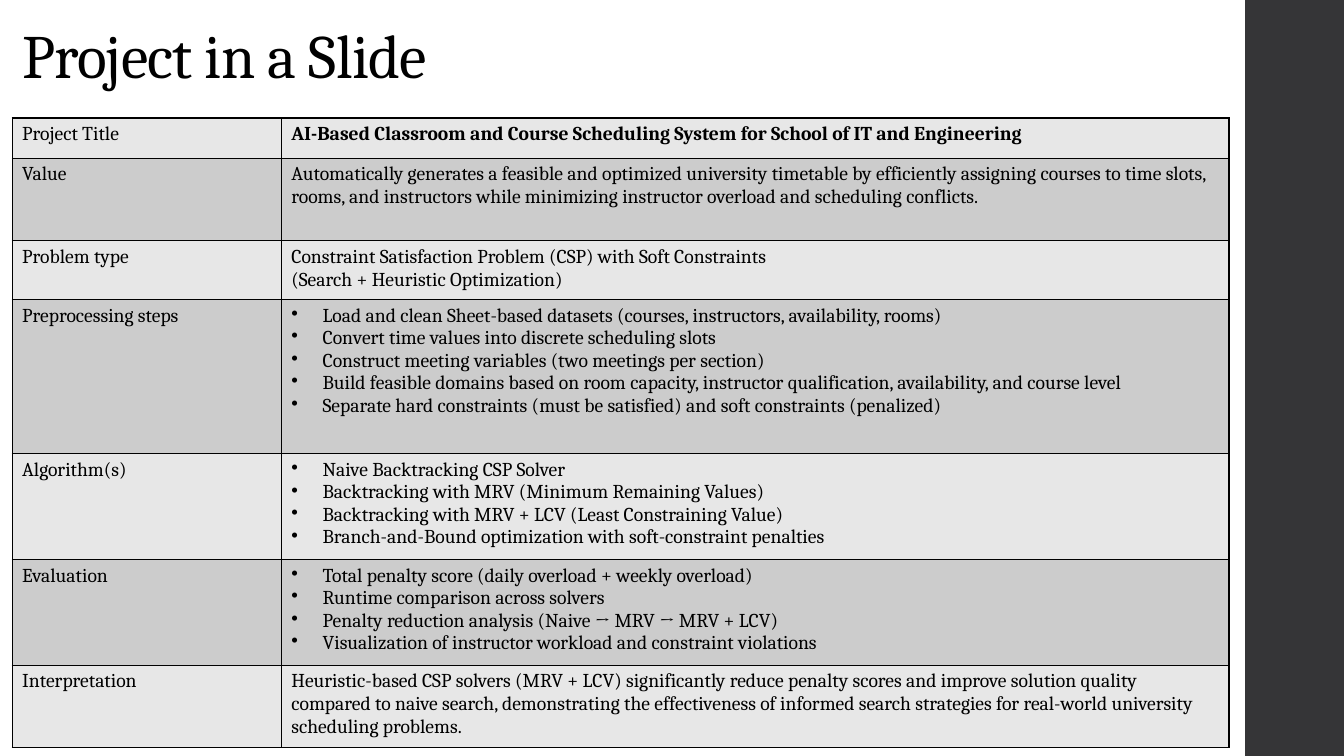
import pptx
import pptx.util
import pptx.oxml
import pptx.oxml.ns
import pptx.dml.color
import pptx.enum.shapes
import pptx.enum.text

inch = pptx.util.Inches
hues = {"bar": "353537", "light": "E7E7E7", "dark": "CCCCCC", "ink": "000000"}
cols = [2.67, 9.4]

# Label, row height, bulleted or not, lines of text
rows = [
    ("Project Title", 0.4, False,
     ["AI-Based Classroom and Course Scheduling System for School of IT and Engineering"]),
    ("Value", 0.82, False,
     ["Automatically generates a feasible and optimized university timetable by efficiently "
      "assigning courses to time slots, rooms, and instructors while minimizing instructor "
      "overload and scheduling conflicts."]),
    ("Problem type", 0.58, False,
     ["Constraint Satisfaction Problem (CSP) with Soft Constraints",
      "(Search + Heuristic Optimization)"]),
    ("Preprocessing steps", 1.53, True,
     ["Load and clean Sheet-based datasets (courses, instructors, availability, rooms)",
      "Convert time values into discrete scheduling slots",
      "Construct meeting variables (two meetings per section)",
      "Build feasible domains based on room capacity, instructor qualification, "
      "availability, and course level",
      "Separate hard constraints (must be satisfied) and soft constraints (penalized)"]),
    ("Algorithm(s)", 1.05, True,
     ["Naive Backtracking CSP Solver",
      "Backtracking with MRV (Minimum Remaining Values)",
      "Backtracking with MRV + LCV (Least Constraining Value)",
      "Branch-and-Bound optimization with soft-constraint penalties"]),
    ("Evaluation", 1.05, True,
     ["Total penalty score (daily overload + weekly overload)",
      "Runtime comparison across solvers",
      "Penalty reduction analysis (Naive → MRV → MRV + LCV)",
      "Visualization of instructor workload and constraint violations"]),
    ("Interpretation", 0.82, False,
     ["Heuristic-based CSP solvers (MRV + LCV) significantly reduce penalty scores and improve "
      "solution quality compared to naive search, demonstrating the effectiveness of informed "
      "search strategies for real-world university scheduling problems."]),
]


def style(font, size, bold=False):
    for key, val in {"name": "Cambria", "size": pptx.util.Pt(size), "bold": bold}.items():
        setattr(font, key, val)
    font.color.rgb = pptx.dml.color.RGBColor.from_string(hues["ink"])


def write(cell, lines, bullet, bold):
    frame = cell.text_frame
    frame.text = "\n".join(lines)
    for para in frame.paragraphs:
        if bullet:
            props = para._p.get_or_add_pPr()
            props.set("marL", str(inch(0.31)))
            props.set("indent", str(-inch(0.31)))
            mark = pptx.oxml.parse_xml(
                f'<a:buChar {pptx.oxml.ns.nsdecls("a")} char="•"/>')
            props.append(mark)
        style(para.runs[0].font, 14, bold)


# Slide
deck = pptx.Presentation()
deck.slide_width, deck.slide_height = inch(13.33), inch(7.5)
slide = deck.slides.add_slide(deck.slide_layouts[5])

# Side bar
bar = slide.shapes.add_shape(pptx.enum.shapes.MSO_SHAPE.RECTANGLE,
                             inch(12.35), 0, inch(1), deck.slide_height)
bar.shadow.inherit = False
bar.fill.solid()
bar.fill.fore_color.rgb = pptx.dml.color.RGBColor.from_string(hues["bar"])
bar.line.fill.background()

# Title
title = slide.shapes.title
place = {"left": 0.12, "top": -0.44, "width": 9.75, "height": 1.4}
for key, val in place.items():
    setattr(title, key, inch(val))
frame = title.text_frame
frame.text = "Project in a Slide"
frame.auto_size = pptx.enum.text.MSO_AUTO_SIZE.NONE
frame.vertical_anchor = pptx.enum.text.MSO_ANCHOR.BOTTOM
head = frame.paragraphs[0]
head.alignment = pptx.enum.text.PP_ALIGN.LEFT
head.line_spacing = 0.9
style(head.runs[0].font, 44)
head.runs[0]._r.get_or_add_rPr().set("spc", "-50")

# Table
high = sum(row[1] for row in rows)
grid = slide.shapes.add_table(len(rows), len(cols), inch(0.12), inch(1.17),
                              inch(sum(cols)), inch(high)).table
for num, wide in enumerate(cols):
    grid.columns[num].width = inch(wide)
for num, (label, tall, bullet, lines) in enumerate(rows):
    grid.rows[num].height = inch(tall)
    write(grid.cell(num, 0), [label], False, False)
    write(grid.cell(num, 1), lines, bullet, num == 0)

    # Fill and borders
    for cell in grid.rows[num].cells:
        cell.fill.solid()
        tone = hues["dark" if num % 2 else "light"]
        cell.fill.fore_color.rgb = pptx.dml.color.RGBColor.from_string(tone)
        for spot, side in enumerate("LRTB"):
            edge = pptx.oxml.parse_xml(
                f'<a:ln{side} {pptx.oxml.ns.nsdecls("a")} w="{pptx.util.Pt(1)}"><a:solidFill>'
                f'<a:srgbClr val="{hues["ink"]}"/></a:solidFill></a:ln{side}>')
            cell._tc.get_or_add_tcPr().insert(spot, edge)

deck.save("out.pptx")
